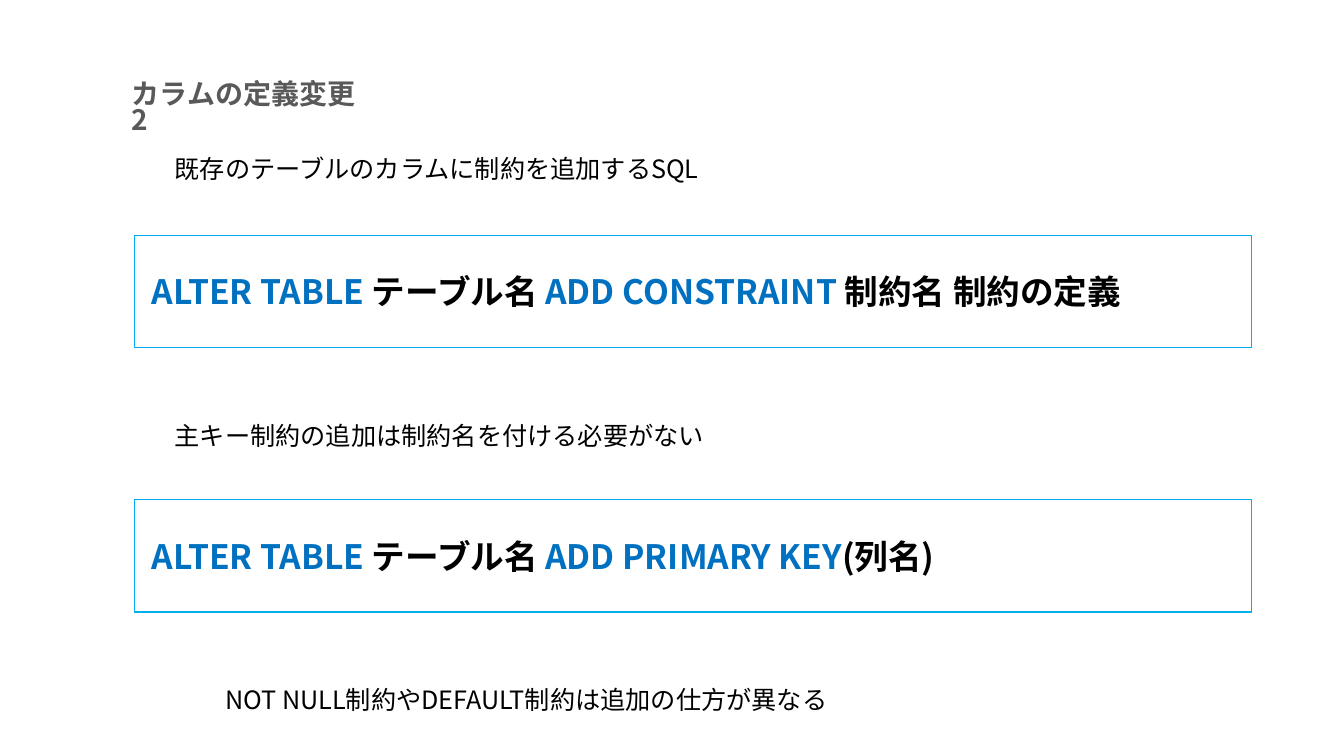
from dataclasses import dataclass

import lxml.etree
import pptx
import pptx.dml.color
import pptx.enum.shapes
import pptx.enum.text
import pptx.oxml.ns
import pptx.shapes.autoshape
import pptx.slide
import pptx.text.text
import pptx.util

EMU_PER_PX = 9525
FONT = "Noto Sans CJK JP"
COLORS = {
    "title": "595959",
    "text": "000000",
    "keyword": "0070C0",
    "border": "00AEEF",
    "paper": "FFFFFF",
}
INDENT = 5
SYNTAX_INDENT = 7


@dataclass(frozen=True)
class Note:
    left: int
    top: int
    width: int
    text: str


@dataclass(frozen=True)
class Span:
    text: str
    color: str = "text"


@dataclass(frozen=True)
class Syntax:
    top: int
    spans: tuple[Span, ...]


NOTES = (
    Note(152, 141, 880, "既存のテーブルのカラムに制約を追加するSQL"),
    Note(152, 396, 880, "主キー制約の追加は制約名を付ける必要がない"),
    Note(200, 647, 793, "NOT NULL制約やDEFAULT制約は追加の仕方が異なる"),
)

ALTER_TABLE = (Span("ALTER TABLE ", "keyword"), Span("テーブル名 "))
SYNTAXES = (
    Syntax(224, ALTER_TABLE + (Span("ADD CONSTRAINT ", "keyword"), Span("制約名 制約の定義"))),
    Syntax(476, ALTER_TABLE + (Span("ADD PRIMARY KEY", "keyword"), Span("(列名)"))),
)


def px(value: int) -> pptx.util.Emu:
    return pptx.util.Emu(value * EMU_PER_PX)


def rgb(name: str) -> pptx.dml.color.RGBColor:
    return pptx.dml.color.RGBColor.from_string(COLORS[name])


def format_para(
    para: pptx.text.text._Paragraph, size: int, color: str, bold: bool, indent: int
) -> None:
    para.alignment = pptx.enum.text.PP_ALIGN.LEFT
    para.font.size = pptx.util.Pt(size)
    para.font.bold = bold
    para.font.color.rgb = rgb(color)
    para.font.name = FONT
    properties = para._p.get_or_add_pPr()
    properties.set("marL", str(px(indent)))
    properties.set("indent", "0")
    defaults = properties.find(pptx.oxml.ns.qn("a:defRPr"))
    lxml.etree.SubElement(defaults, pptx.oxml.ns.qn("a:ea"), typeface=FONT)


def add_title(page: pptx.slide.Slide) -> None:
    title = page.shapes.title
    title.left, title.top, title.width, title.height = map(px, (111, 75, 240, 45))
    frame = title.text_frame
    frame.text = "カラムの定義変更2"
    frame.word_wrap = True
    frame.auto_size = pptx.enum.text.MSO_AUTO_SIZE.NONE
    frame.vertical_anchor = pptx.enum.text.MSO_ANCHOR.TOP
    para = frame.paragraphs[0]
    para.line_spacing = 0.77
    format_para(para, 20, "title", True, INDENT)


def add_note(page: pptx.slide.Slide, note: Note) -> None:
    box = page.shapes.add_textbox(px(note.left), px(note.top), px(note.width), px(38))
    frame = box.text_frame
    frame.word_wrap = True
    frame.text = note.text
    format_para(frame.paragraphs[0], 18, "text", False, INDENT)


def add_syntax(page: pptx.slide.Slide, syntax: Syntax) -> None:
    box = page.shapes.add_shape(
        pptx.enum.shapes.MSO_SHAPE.RECTANGLE, px(128), px(syntax.top), px(1064), px(107)
    )
    box.shadow.inherit = False
    box.fill.solid()
    box.fill.fore_color.rgb = rgb("paper")
    box.line.color.rgb = rgb("border")
    box.line.width = pptx.util.Pt(1)
    frame = box.text_frame
    frame.word_wrap = True
    frame.vertical_anchor = pptx.enum.text.MSO_ANCHOR.MIDDLE
    para = frame.paragraphs[0]
    format_para(para, 24, "text", True, SYNTAX_INDENT)
    for span in syntax.spans:
        run = para.add_run()
        run.text = span.text
        run.font.color.rgb = rgb(span.color)


def main() -> None:
    deck = pptx.Presentation()
    deck.slide_width, deck.slide_height = px(1280), px(720)
    page = deck.slides.add_slide(deck.slide_layouts.get_by_name("Title Only"))
    add_title(page)
    for syntax in SYNTAXES:
        add_syntax(page, syntax)
    for note in NOTES:
        add_note(page, note)
    deck.save("out.pptx")


if __name__ == "__main__":
    main()
